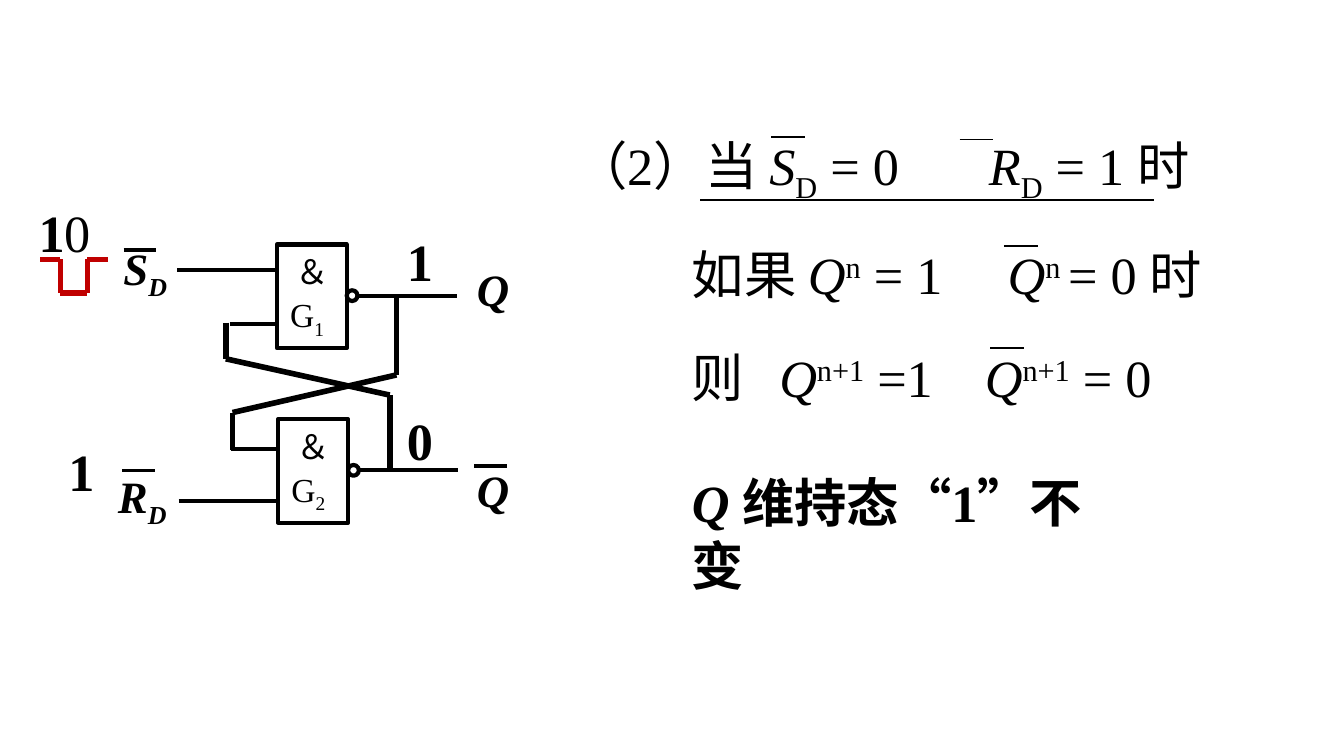
from lxml import etree
from pptx import Presentation
from pptx import util as u
from pptx.dml.color import RGBColor
from pptx.enum import shapes, text
from pptx.oxml import ns

BLACK, RED = "000000", "C00000"
SUB, SUP = -25000, 30000

# Widescreen page, 16:9
deck = Presentation()
deck.slide_width = u.Inches(10)
deck.slide_height = u.Inches(10) * 9 // 16
page = deck.slides.add_slide(deck.slide_layouts[6])


def write(spans, left, top, width, height, size=28, bold=False, wrap=False, tabs=()):
    """Add a text box; each span is (words, italic, baseline shift)."""
    box = page.shapes.add_textbox(*map(u.Inches, (left, top, width, height)))
    box.text_frame.word_wrap = wrap
    box.text_frame.auto_size = text.MSO_AUTO_SIZE.SHAPE_TO_FIT_TEXT
    para = box.text_frame.paragraphs[0]
    if tabs:
        stops = etree.SubElement(para._p.get_or_add_pPr(), ns.qn("a:tabLst"))
        for stop in tabs:
            etree.SubElement(stops, ns.qn("a:tab"), pos=str(u.Inches(stop)), algn="l")
    for words, italic, shift in spans:
        span = para.add_run()
        span.text = words
        span.font.name, span.font.size = "Times New Roman", u.Pt(size)
        span.font.bold, span.font.italic = bold, italic
        span.font.color.rgb = RGBColor.from_string(BLACK)
        if shift:
            span.font._element.set("baseline", str(shift))


def wire(points, weight, color=BLACK):
    """Draw straight connectors through the points in turn."""
    for start, end in zip(points, points[1:]):
        line = page.shapes.add_connector(
            shapes.MSO_CONNECTOR.STRAIGHT, *map(u.Inches, (*start, *end)))
        line.line.width = u.Pt(weight)
        line.line.color.rgb = RGBColor.from_string(color)
        etree.SubElement(line._element.spPr, ns.qn("a:effectLst"))


# Conditions and conclusion on the right
write([("（2）当 ", False, 0), ("S", True, 0), ("D", False, SUB), (" = 0\t", False, 0),
       ("R", True, 0), ("D", False, SUB), (" = 1 时", False, 0)],
      4.18, 0.94, 4.92, 0.57, wrap=True, tabs=[3.08])
write([("如果 ", False, 0), ("Q", True, 0), ("n", False, SUP), (" = 1\t", False, 0),
       ("Q", True, 0), ("n ", False, SUP), ("= 0 时", False, 0)],
      5.05, 1.75, 4.17, 0.57, wrap=True, tabs=[2.35])
write([("则\t", False, 0), ("Q", True, 0), ("n+1", False, SUP), (" =1\t", False, 0),
       ("Q", True, 0), ("n+1", False, SUP), (" = 0", False, 0)],
      5.05, 2.52, 4.17, 0.57, wrap=True, tabs=[0.65, 2.18])
write([("Q ", True, 0), ("维持态“1”不变", False, 0)],
      5.05, 3.45, 3.37, 0.57, bold=True, wrap=True)

# Overbars of the formulas and the rule under the condition
for left, top, weight in [(5.74, 1.02, 0.75), (7.14, 1.04, 0.75),
                          (7.47, 1.83, 1), (7.37, 2.59, 1)]:
    wire([(left, top), (left + 0.25, top)], weight)
wire([(5.21, 1.49), (8.59, 1.49)], 1)

# Logic levels
for level, left, top, bold in [("1", 2.93, 1.66, True), ("0", 2.93, 2.99, True),
                               ("1", 0.19, 1.44, True), ("0", 0.38, 1.44, False),
                               ("1", 0.41, 3.22, True)]:
    write([(level, False, 0)], left, top, 0.4, 0.57, bold=bold)

# Negative input pulse
wire([(0.3, 1.93), (0.45, 1.93), (0.45, 2.18), (0.65, 2.18), (0.65, 1.93), (0.8, 1.93)],
     3, RED)

# Signal names and their overbars
for name, index, left, top, width in [("Q", "", 3.45, 1.9, 0.44), ("Q", "", 3.45, 3.39, 0.44),
                                      ("S", "D", 0.82, 1.74, 0.53),
                                      ("R", "D", 0.78, 3.44, 0.57)]:
    spans = [(name, True, 0)] + ([(index, True, SUB)] if index else [])
    write(spans, left, top, width, 0.51, size=24, bold=True)
for left, top in [(3.53, 3.47), (0.92, 1.86), (0.91, 3.5)]:
    wire([(left, top), (left + 0.24, top)], 2)

# NAND gates with outer input, feedback input and output
for number, left, top, outer, feedback in [("1", 2.06, 1.82, 0.19, 0.59),
                                           ("2", 2.07, 3.12, 0.61, 0.22)]:
    write([("G", False, 0), (number, False, SUB)], left, top + 0.32, 0.47, 0.41, size=18)
    write([("＆", False, 0)], left + 0.04, top, 0.45, 0.41, size=18)
    for kind, x, y, width, height in [
            (shapes.MSO_SHAPE.RECTANGLE, left, top, 0.52, 0.77),
            (shapes.MSO_SHAPE.OVAL, left + 0.52, top + 0.34, 0.08, 0.08)]:
        outline = page.shapes.add_shape(kind, *map(u.Inches, (x, y, width, height)))
        outline.shadow.inherit = False
        outline.fill.background()
        outline.line.width = u.Pt(2.25)
        outline.line.color.rgb = RGBColor.from_string(BLACK)
    for start, end, y in [(-0.74, 0, outer), (-0.35, 0, feedback), (0.6, 1.34, 0.38)]:
        wire([(left + start, top + y), (left + end, top + y)], 2.25)

# Cross-coupled feedback
wire([(1.68, 2.4), (1.68, 2.67), (2.9, 2.94), (2.9, 3.49)], 3)
wire([(1.73, 3.35), (1.73, 3.07), (2.95, 2.79), (2.95, 2.21)], 3)

deck.save("out.pptx")
